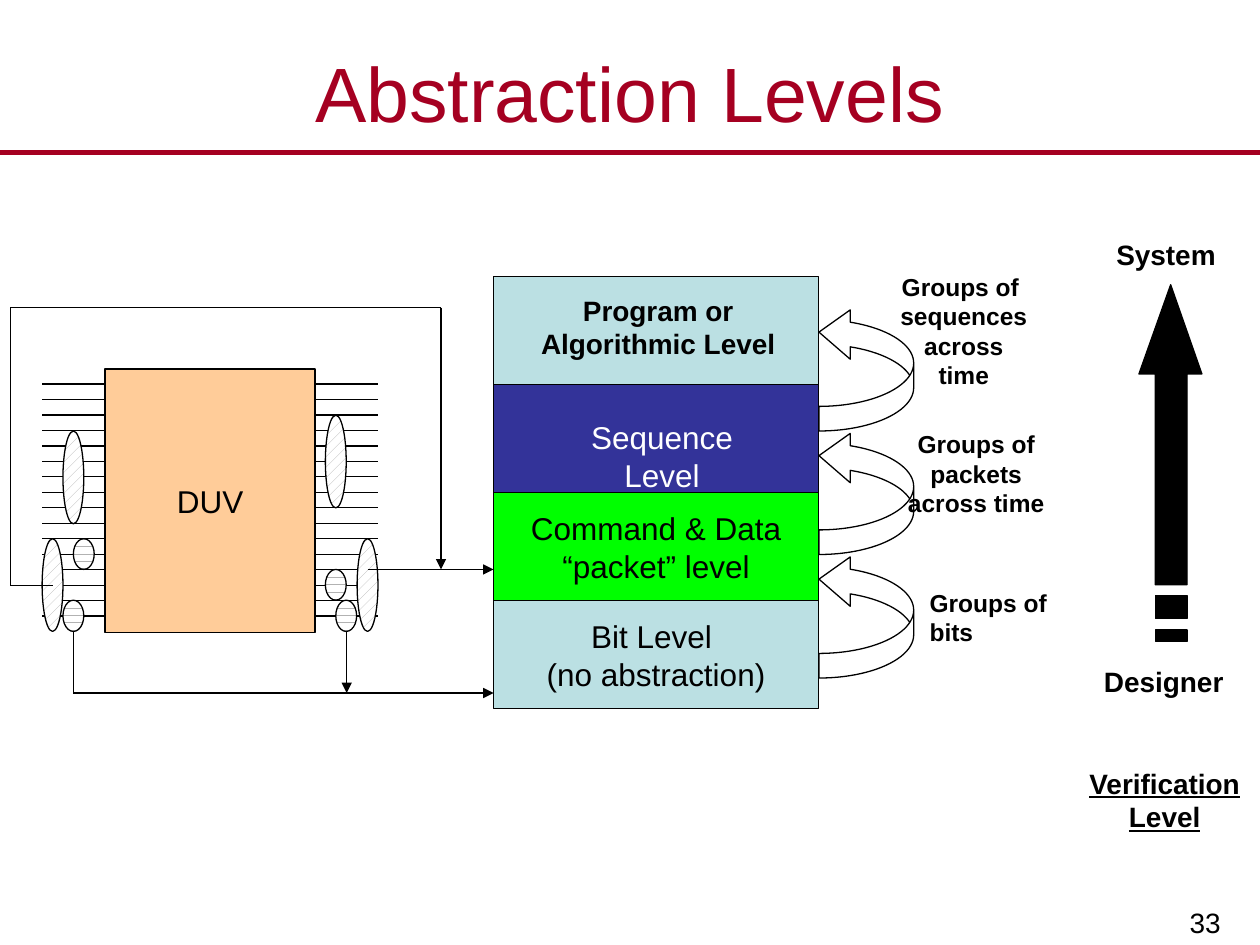
from pptx import Presentation
from pptx import util as u
from pptx.dml.color import RGBColor
from pptx.enum import dml, shapes, text
from pptx.oxml.ns import qn
from lxml import etree

Cm = u.Cm
hue = RGBColor.from_string
kind = shapes.MSO_SHAPE
mid = text.MSO_ANCHOR.MIDDLE
low = text.MSO_ANCHOR.BOTTOM
center = text.PP_ALIGN.CENTER

deck = Presentation()
deck.slide_width, deck.slide_height = Cm(25.4), Cm(19.05)
slide = deck.slides.add_slide(deck.slide_layouts[6])
parts = slide.shapes


def write(words, box=None, at=None, size=16, color="000000", bold=False,
          under=False, align=center, anchor=text.MSO_ANCHOR.TOP, wrap=False):
    box = box or parts.add_textbox(*map(Cm, at))
    frame = box.text_frame
    frame.word_wrap = wrap
    frame.vertical_anchor = anchor
    for i, line in enumerate(words.split("\n")):
        para = frame.paragraphs[0] if i == 0 else frame.add_paragraph()
        para.alignment = align
        run = para.add_run()
        run.text = line
        font = run.font
        font.name, font.size = "Arial", u.Pt(size)
        font.bold, font.underline = bold, under
        font.color.rgb = hue(color)


def draw(form, at, fill=None):
    shape = parts.add_shape(form, *map(Cm, at))
    shape.shadow.inherit = False
    shape.line.color.rgb = hue("000000")
    shape.line.width = u.Pt(0.75)
    if fill:
        shape.fill.solid()
        shape.fill.fore_color.rgb = hue(fill)
    else:
        shape.fill.background()
    return shape


write("33", at=(19.81, 17.6, 5.05, 1.45), align=text.PP_ALIGN.RIGHT, anchor=low)
write("Abstraction Levels", at=(0, 0.76, 25.4, 2.18), size=44,
      color="A50021", anchor=mid, wrap=True)

duv = draw(kind.RECTANGLE, (2.12, 7.44, 4.23, 5.31), "FFCC99")
write("DUV", box=duv, size=18, anchor=mid)

levels = [
    ("BBE0E3", ""),
    ("333399", ""),
    ("00FF00", "Command & Data\n“packet” level"),
    ("BBE0E3", "Bit Level \n(no abstraction)"),
]
for i, (fill, words) in enumerate(levels):
    level = draw(kind.RECTANGLE, (9.95, 5.57 + 2.18 * i, 6.55, 2.18), fill)
    if words:
        write(words, box=level, size=18, anchor=mid)
write("Program or\nAlgorithmic Level", at=(10.64, 5.79, 5.26, 1.63), bold=True)
write("Sequence Level", at=(10.82, 8.31, 5.05, 1.02), size=18, color="FFFFFF")

for i in range(3):
    loop = draw(kind.CURVED_LEFT_ARROW, (16.51, 6.2 + 2.49 * i, 1.91, 2.49))
    loop._element.spPr.xfrm.set("flipV", "1")
    for n, value in enumerate((0.26, 0.52, 0.33)):
        loop.adjustments[n] = value

groups = [
    ("Groups of \nsequences across\ntime", (17.88, 5.36, 3.1, 2.6), center),
    ("Groups of packets\nacross time", (18.03, 8.53, 3.3, 2), center),
    ("Groups of bits", (18.49, 11.73, 3.05, 1.4), text.PP_ALIGN.LEFT),
]
for words, at, align in groups:
    write(words, at=at, size=14, bold=True, align=align, wrap=True)

wires = [(0, 3.07, 25.4, 3.07, "A50021", 3, False)]
for left in (0.85, 6.35):
    for i in range(16):
        y = 7.74 + 4.68 * i / 15
        wires.append((left, y, left + 1.27, y, "000000", 0.75, False))
count = len(wires)
for *ends, tip in [
    (1.48, 12.73, 1.48, 13.97, False),
    (1.48, 13.97, 9.95, 13.97, True),
    (6.99, 12.73, 6.99, 13.97, True),
    (7.41, 11.48, 9.95, 11.48, True),
    (1.06, 11.8, 0.21, 11.8, False),
    (0.21, 11.8, 0.21, 6.2, False),
    (0.21, 6.2, 8.89, 6.2, False),
    (8.89, 6.2, 8.89, 11.48, True),
]:
    wires.append((*ends, "000000", 0.75, tip))

dash, dots = dml.MSO_PATTERN.DASHED_HORIZONTAL, dml.MSO_PATTERN.PERCENT_20
probes = [
    (6.77, 12.1, 0.63, dash), (1.27, 12.1, 0.63, dash),
    (7.2, 10.86, 1.87, dots), (0.85, 10.86, 1.87, dots),
    (6.56, 11.48, 0.62, dash), (1.48, 10.86, 0.62, dash),
    (1.27, 8.69, 1.87, dots), (6.56, 8.37, 1.87, dots),
]
for i, (*ends, color, width, tip) in enumerate(wires):
    if i == count:
        for x, y, high, weave in probes:
            fill = draw(kind.OVAL, (x, y, 0.42, high)).fill
            fill.patterned()
            fill.pattern = weave
            fill.fore_color.rgb = hue("B2B2B2")
            fill.back_color.rgb = hue("FFFFFF")
    wire = parts.add_connector(shapes.MSO_CONNECTOR.STRAIGHT, *map(Cm, ends))
    wire.line.color.rgb = hue(color)
    wire.line.width = u.Pt(width)
    if tip:
        etree.SubElement(wire.line._get_or_add_ln(), qn("a:tailEnd"), type="triangle")
    etree.SubElement(wire._element.spPr, qn("a:effectLst"))

write("System", at=(22.25, 4.67, 2.51, 0.94), bold=True)
write("Designer", at=(22, 13.28, 2.92, 0.94), bold=True)
write("Verification\nLevel", at=(21.69, 15.32, 3.58, 1.63), bold=True, under=True)

head = [(22.96, 7.54), (23.29, 7.54), (23.29, 11.79), (23.93, 11.79),
        (23.93, 7.54), (24.23, 7.54), (23.6, 5.74)]
bars = [[(23.29, top), (23.93, top), (23.93, end), (23.29, end)]
        for top, end in ((12.01, 12.47), (12.7, 12.93))]
path = parts.build_freeform(Cm(head[0][0]), Cm(head[0][1]))
for i, ring in enumerate([head, *bars]):
    spots = [(Cm(x), Cm(y)) for x, y in ring]
    if i:
        path.move_to(*spots[0])
    path.add_line_segments(spots[1:], close=True)
arrow = path.convert_to_shape()
arrow.shadow.inherit = False
arrow.fill.solid()
arrow.fill.fore_color.rgb = hue("000000")
arrow.line.color.rgb = hue("000000")
arrow.line.width = u.Pt(0.75)

deck.save("out.pptx")
